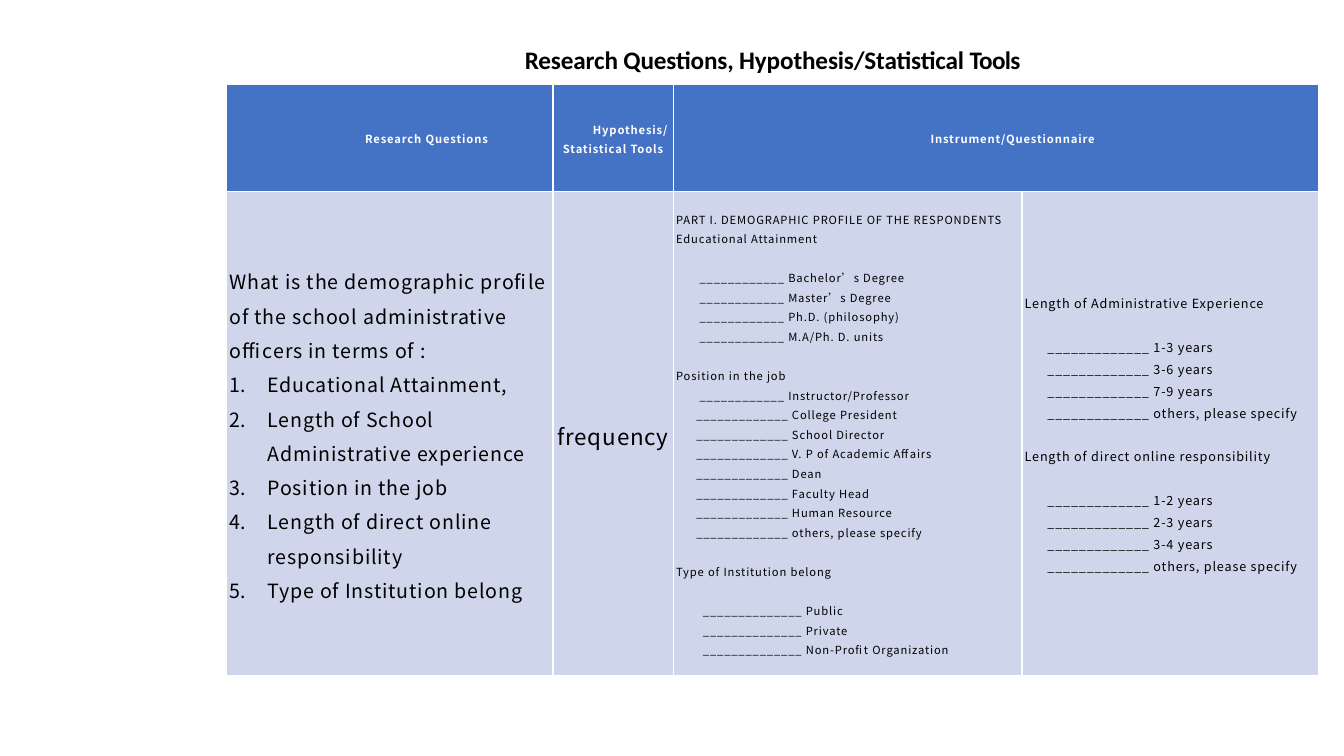
import pptx
import pptx.dml.color
import pptx.enum.text
import pptx.oxml
import pptx.oxml.ns
import pptx.util

Pt = pptx.util.Pt
RGBColor = pptx.dml.color.RGBColor
PP_ALIGN = pptx.enum.text.PP_ALIGN
ANCHOR = pptx.enum.text.MSO_ANCHOR

WHITE = RGBColor(0xFF, 0xFF, 0xFF)
BLACK = RGBColor(0x00, 0x00, 0x00)
HEADER_BLUE = RGBColor(0x44, 0x72, 0xC4)
BODY_BLUE = RGBColor(0xCF, 0xD5, 0xEA)
TITLE_FONT = "Calibri"
TABLE_FONT = "Noto Sans CJK SC"

COLUMN_WIDTHS = (233, 86, 249, 212)
ROW_HEIGHTS = (76.3, 345.6)
BORDERS = (("L", 1), ("R", 1), ("T", 0.25), ("B", 0.25))

HEADERS = (("Research Questions", 52.5), ("Hypothesis/Statistical Tools", 25),
           ("Instrument/Questionnaire", 24))
QUESTION = ("What is the demographic profile of the school administrative "
            "officers in terms of :")
QUESTION_TOPICS = ("Educational Attainment,",
                   "Length of School Administrative experience",
                   "Position in the job", "Length of direct online responsibility",
                   "Type of Institution belong")

# Each group: heading, gap before its options, options as (blanks, indent, labels)
PROFILE_GROUPS = (
    ("Educational Attainment", True,
     ((12, 16.8, ("Bachelor’s Degree", "Master’s Degree", "Ph.D. (philosophy)",
                  "M.A/Ph. D. units")),)),
    ("Position in the job", False,
     ((12, 16.8, ("Instructor/Professor",)),
      (13, 14.4, ("College President", "School Director",
                  "V. P of Academic Affairs", "Dean", "Faculty Head",
                  "Human Resource", "others, please specify")))),
    ("Type of Institution belong", True,
     ((14, 19.2, ("Public", "Private", "Non-Profit Organization")),)),
)
LENGTH_GROUPS = (
    ("Length of Administrative Experience", True,
     ((13, 16.2, ("1-3 years", "3-6 years", "7-9 years",
                  "others, please specify")),)),
    ("Length of direct online responsibility", True,
     ((13, 16.2, ("1-2 years", "2-3 years", "3-4 years",
                  "others, please specify")),)),
)


def add_run(paragraph, text, size, font, color, bold, spacing):
    run = paragraph.add_run()
    run.text = text
    run.font.size = Pt(size)
    run.font.name = font
    run.font.bold = bold
    run.font.color.rgb = color
    properties = run.font._element
    properties.set("spc", str(round(spacing * 100)))
    latin = properties.find(pptx.oxml.ns.qn("a:latin"))
    latin.addnext(pptx.oxml.parse_xml(
        f'<a:ea {pptx.oxml.ns.nsdecls("a")} typeface="{font}"/>'))


def add_line(cell, text, size, color=BLACK, bold=False, align=PP_ALIGN.LEFT,
             margin=0, indent=0, before=0, numbered=False):
    """Add one paragraph to a table cell, filling its empty first one."""
    frame = cell.text_frame
    first = frame.paragraphs[0]
    paragraph = frame.add_paragraph() if first.runs else first
    paragraph.alignment = align
    paragraph.line_spacing = 1.2
    paragraph.space_before = Pt(before)
    properties = paragraph._p.get_or_add_pPr()
    properties.set("marL", str(Pt(margin)))
    properties.set("indent", str(Pt(indent)))
    if numbered:
        properties.append(pptx.oxml.parse_xml(
            f'<a:buAutoNum {pptx.oxml.ns.nsdecls("a")} type="arabicPeriod"/>'))
    add_run(paragraph, text, size, TABLE_FONT, color, bold, 0.6)


def add_groups(cell, groups, size, gap):
    """Add headings with fill-in options; gap is the height of one line."""
    for heading, spaced, option_sets in groups:
        continues = bool(cell.text_frame.paragraphs[0].runs)
        follows_options = continues and heading != PROFILE_GROUPS[0][0]
        add_line(cell, heading, size, before=gap if follows_options else 0)
        before = gap if spaced else 0
        for blanks, margin, labels in option_sets:
            for label in labels:
                add_line(cell, "_" * blanks + " " + label, size,
                         margin=margin, before=before)
                before = 0


def style_cell(cell, fill):
    cell.fill.solid()
    cell.fill.fore_color.rgb = fill
    cell.vertical_anchor = ANCHOR.MIDDLE
    cell.margin_left = cell.margin_right = Pt(2)
    cell.margin_top = cell.margin_bottom = Pt(0.7)
    properties = cell._tc.get_or_add_tcPr()
    for position, (side, width) in enumerate(BORDERS):
        properties.insert(position, pptx.oxml.parse_xml(
            f'<a:ln{side} {pptx.oxml.ns.nsdecls("a")} w="{Pt(width)}">'
            f'<a:solidFill><a:srgbClr val="{WHITE}"/></a:solidFill></a:ln{side}>'))


def add_title(slide):
    title = slide.shapes.add_textbox(Pt(168.5), Pt(28), Pt(770.4), Pt(29))
    title.text_frame.word_wrap = True
    paragraph = title.text_frame.paragraphs[0]
    paragraph.alignment = PP_ALIGN.CENTER
    for text, spacing in (("Research Questions, Hypothesis/Statistical ", -0.1),
                          ("Tools ", -0.5)):
        add_run(paragraph, text, 18, TITLE_FONT, BLACK, True, spacing)


def add_research_table(slide):
    table = slide.shapes.add_table(
        len(ROW_HEIGHTS), len(COLUMN_WIDTHS), Pt(162), Pt(60),
        Pt(sum(COLUMN_WIDTHS)), Pt(sum(ROW_HEIGHTS))).table
    for column, width in zip(table.columns, COLUMN_WIDTHS):
        column.width = Pt(width)
    for row, height, fill in zip(table.rows, ROW_HEIGHTS, (HEADER_BLUE, BODY_BLUE)):
        row.height = Pt(height)
        for cell in row.cells:
            style_cell(cell, fill)

    # Header row
    table.cell(0, 2).merge(table.cell(0, 3))
    for column, (header, indent) in enumerate(HEADERS):
        add_line(table.cell(0, column), header, 8, WHITE, True,
                 PP_ALIGN.CENTER, indent=indent)

    # Research question and its statistical tool
    questions, tool, profile, lengths = table.rows[1].cells
    add_line(questions, QUESTION, 14)
    for topic in QUESTION_TOPICS:
        add_line(questions, topic, 14, margin=27, indent=-27, numbered=True)
    add_line(tool, "frequency", 16, align=PP_ALIGN.CENTER)

    # Questionnaire
    add_line(profile, "PART I. DEMOGRAPHIC PROFILE OF THE RESPONDENTS", 8)
    add_groups(profile, PROFILE_GROUPS, 8, 14)
    add_groups(lengths, LENGTH_GROUPS, 9, 15.7)


def main():
    presentation = pptx.Presentation()
    presentation.slide_width = Pt(960)
    presentation.slide_height = Pt(540)
    slide = presentation.slides.add_slide(presentation.slide_layouts[6])
    add_research_table(slide)
    add_title(slide)
    presentation.save("out.pptx")


main()
